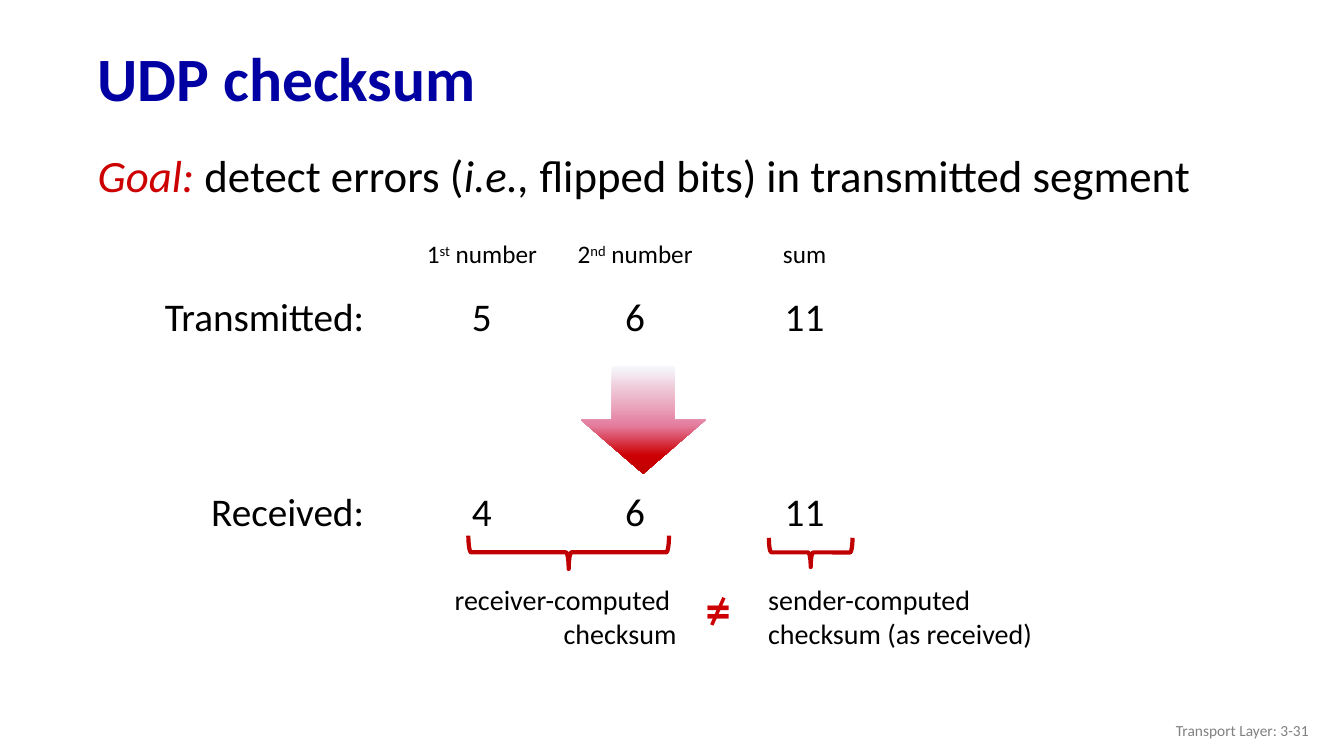
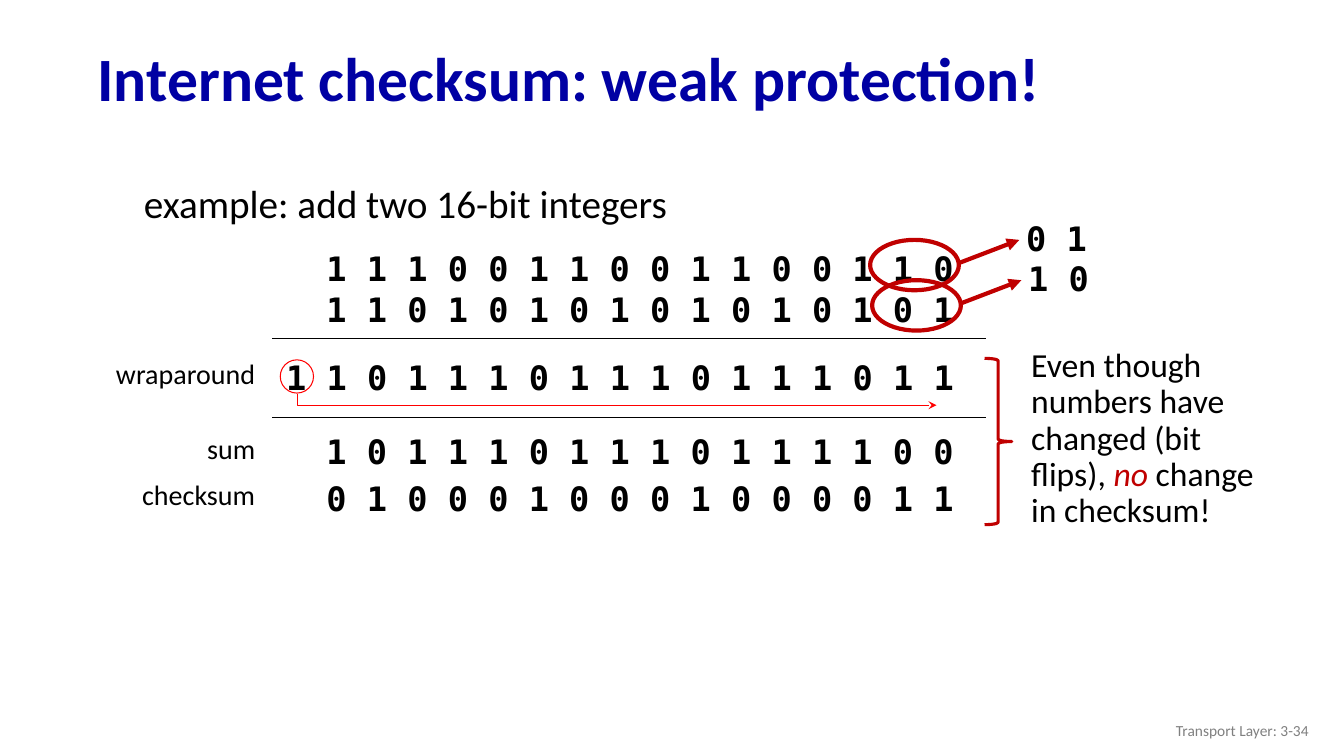
from dataclasses import dataclass

from lxml import etree
from pptx import Presentation
from pptx import util as u
from pptx.dml.color import RGBColor
from pptx.enum import shapes, text
from pptx.oxml import ns


@dataclass(frozen=True)
class Theme:
    """Colours, fonts and type sizes that the slides share."""
    title: str = "0000A3"
    ink: str = "000000"
    footer: str = "808080"
    goal: str = "CC0000"
    unequal: str = "CD0004"
    accent: str = "C00000"
    carry: str = "FF0000"
    body_font: str = "Calibri"
    bit_font: str = "DejaVu Sans Mono"
    title_size: int = 44
    symbol_size: int = 36
    goal_size: int = 32
    body_size: int = 28
    bit_size: int = 24
    label_size: int = 20
    header_size: int = 18
    footer_size: int = 11


THEME = Theme()
LEFT, CENTER, RIGHT = (text.PP_ALIGN.LEFT, text.PP_ALIGN.CENTER, text.PP_ALIGN.RIGHT)
ITALIC, SUPER = {"italic": True}, {"raised": True}

# Slide 1: a run is (words, style)
GOAL = [("Goal:", {"italic": True, "color": THEME.goal}), (" detect errors (", {}),
        ("i.e., ", ITALIC), ("flipped bits) in transmitted segment", {})]
COLUMNS = [  # centre, header
    (4.78, [("1", {}), ("st", SUPER), (" number", {})]),
    (6.3, [("2", {}), ("nd", SUPER), (" number", {})]),
    (7.98, [("sum", {})]),
]
NUMBER_ROWS = [  # top, label, values
    (2.9, "Transmitted:", ("5", "6", "11")),
    (4.84, "Received:", ("4", "6", "11")),
]
ARROW_STOPS = [(0, "F6F8FC"), (55, "E47E9F"), (83, THEME.unequal), (100, THEME.accent)]
CHECKSUMS = [  # box, alignment, lines
    ((4.38, 5.73, 2.43, 0.77), RIGHT, ("receiver-computed ", "checksum")),
    ((7.52, 5.73, 2.95, 0.77), LEFT, ("sender-computed", "checksum (as received)")),
]
SUM_BRACES = [(5.64, 5.48, 0.33, 1.99), (8.04, 5.48, 0.29, 0.83)]

# Slide 2
BIT_ROWS = [  # top, label, bits
    (2.41, "", "1110011001100110"),
    (2.82, "", "1101010101010101"),
    (3.49, "wraparound", "11011101110111011"),
    (4.23, "sum", "1011101110111100"),
    (4.69, "checksum", "0100010001000011"),
]
BIT_LEFT, BIT_STEP, WORD_BITS = 3.14, 0.4, 16
RULES = (3.36, 4.14)
FLIPS = [  # left and top of the ring, flipped bits
    (8.63, 2.38, "01"),
    (8.65, 2.78, "10"),
]
CARRY_PATH = [(2.95, 3.91), (2.95, 4.02), (9.29, 4.02)]
REMARK = [("Even though numbers have changed (bit flips), ", {}),
          ("no", {"italic": True, "color": THEME.accent}), (" change in checksum!", {})]


def inches(values):
    """Turn plain numbers into lengths."""
    return [u.Inches(value) for value in values]


def add_text(slide, box, paragraphs, size, align=LEFT, color=THEME.ink,
             font=THEME.body_font, bold=False, spacing=None, middle=False):
    """Add a text box; each paragraph is a string or a list of styled runs."""
    frame = slide.shapes.add_textbox(*inches(box)).text_frame
    frame.word_wrap = True
    if middle:
        frame.vertical_anchor = text.MSO_ANCHOR.MIDDLE
    for index, content in enumerate(paragraphs):
        paragraph = frame.add_paragraph() if index else frame.paragraphs[0]
        paragraph.alignment = align
        if spacing:
            paragraph.line_spacing = spacing
        runs = [(content, {})] if isinstance(content, str) else content
        for words, style in runs:
            run = paragraph.add_run()
            run.text = words
            run.font.name, run.font.size, run.font.bold = font, u.Pt(size), bold
            run.font.italic = style.get("italic", False)
            run.font.color.rgb = RGBColor.from_string(style.get("color", color))
            if style.get("raised"):
                run._r.get_or_add_rPr().set("baseline", "30000")


def add_bits(slide, left, top, bits):
    """Add a row of spaced bits in the monospaced font."""
    box = (left, top, BIT_STEP * len(bits) + 0.4, 0.5)
    add_text(slide, box, [" ".join(bits)], THEME.bit_size, font=THEME.bit_font, bold=True)


def style_line(shape, color, width, arrow=None):
    """Set the outline of a shape or connector, with an optional arrowhead."""
    shape.line.color.rgb = RGBColor.from_string(color)
    shape.line.width = u.Pt(width)
    if arrow:
        line = shape.line._get_or_add_ln()
        etree.SubElement(line, ns.qn("a:tailEnd"), type=arrow)


def add_line(slide, start, end, color, width, arrow=None):
    """Add a straight line without a shadow."""
    line = slide.shapes.add_connector(
        shapes.MSO_CONNECTOR.STRAIGHT, *inches(start), *inches(end))
    style_line(line, color, width, arrow)
    etree.SubElement(line._element.spPr, ns.qn("a:effectLst"))


def add_outline(slide, kind, box, color, width):
    """Add an unfilled preset shape."""
    shape = slide.shapes.add_shape(kind, *inches(box))
    shape.shadow.inherit = False
    shape.fill.background()
    style_line(shape, color, width)
    return shape


def add_brace(slide, center_x, center_y, depth, span, width, rotation=0):
    """Add a brace around its centre."""
    box = (center_x - depth / 2, center_y - span / 2, depth, span)
    brace = add_outline(slide, shapes.MSO_SHAPE.RIGHT_BRACE, box, THEME.accent, width)
    brace.rotation = rotation


def add_gradient_arrow(slide, box, stops):
    """Add a down arrow that fades from top to bottom."""
    arrow = slide.shapes.add_shape(shapes.MSO_SHAPE.DOWN_ARROW, *inches(box))
    arrow.shadow.inherit = False
    arrow.line.fill.background()
    arrow.fill.gradient()
    arrow.fill.gradient_angle = 270
    stop_list = arrow._element.spPr.find(".//" + ns.qn("a:gsLst"))
    for stop in list(stop_list):
        stop_list.remove(stop)
    for position, color in stops:
        stop = etree.SubElement(stop_list, ns.qn("a:gs"), pos=str(position * 1000))
        etree.SubElement(stop, ns.qn("a:srgbClr"), val=color)


def add_carry(slide, points):
    """Add the bent arrow that carries the extra bit round."""
    start, *rest = [inches(point) for point in points]
    builder = slide.shapes.build_freeform(*start)
    builder.add_line_segments(rest, close=False)
    carry = builder.convert_to_shape()
    carry.shadow.inherit = False
    carry.fill.background()
    style_line(carry, THEME.carry, 0.75, "stealth")


def new_slide(presentation, title, page):
    """Add a blank slide with the shared title and footer."""
    slide = presentation.slides.add_slide(presentation.slide_layouts[6])
    add_text(slide, (0.87, 0.32, 12.14, 0.98), [title], THEME.title_size,
             color=THEME.title, bold=True, spacing=0.9, middle=True)
    add_text(slide, (10.08, 7.05, 3, 0.4), [f"Transport Layer: {page}"],
             THEME.footer_size, RIGHT, THEME.footer, middle=True)
    return slide


def build_udp_checksum(presentation):
    """Show how a changed number no longer matches its sum."""
    slide = new_slide(presentation, "UDP checksum", "3-31")
    add_text(slide, (0.87, 1.5, 12.14, 0.93), [GOAL], THEME.goal_size, spacing=0.85)
    for center, header in COLUMNS:
        add_text(slide, (center - 0.8, 2.32, 1.6, 0.4), [header],
                 THEME.header_size, CENTER)
    for top, label, values in NUMBER_ROWS:
        add_text(slide, (1.21, top, 2.5, 0.63), [label], THEME.body_size, RIGHT,
                 spacing=0.9)
        for (center, _), value in zip(COLUMNS, values):
            add_text(slide, (center - 0.5, top, 1, 0.63), [value], THEME.body_size,
                     CENTER, spacing=0.9)
    add_gradient_arrow(slide, (5.76, 3.63, 1.24, 1.07), ARROW_STOPS)
    for box, align, lines in CHECKSUMS:
        add_text(slide, box, lines, THEME.label_size, align)
    for brace in SUM_BRACES:
        add_brace(slide, *brace, width=3, rotation=90)
    add_text(slide, (6.9, 5.69, 0.5, 0.71), ["="], THEME.symbol_size,
             color=THEME.unequal, bold=True)
    add_line(slide, (7.18, 5.93), (7.06, 6.2), THEME.unequal, 2.5)


def build_weak_protection(presentation):
    """Show two bit flips that leave the checksum unchanged."""
    slide = new_slide(presentation, "Internet checksum: weak protection!", "3-34")
    add_text(slide, (1.33, 1.59, 8.5, 0.8), ["example: add two 16-bit integers"],
             THEME.body_size, spacing=1.3)
    for top, label, bits in BIT_ROWS:
        add_bits(slide, BIT_LEFT - BIT_STEP * (len(bits) - WORD_BITS), top, bits)
        if label:
            add_text(slide, (0.63, top, 2, 0.44), [label], THEME.label_size, RIGHT)
    for height in RULES:
        add_line(slide, (2.7, height), (9.78, height), THEME.ink, 1)
    add_outline(slide, shapes.MSO_SHAPE.OVAL, (2.78, 3.57, 0.33, 0.33), THEME.carry, 0.75)
    add_carry(slide, CARRY_PATH)
    for left, top, bits in FLIPS:
        add_outline(slide, shapes.MSO_SHAPE.OVAL, (left, top, 0.88, 0.5), THEME.accent, 3)
        add_line(slide, (left + 0.88, top + 0.23), (left + 1.48, top), THEME.accent, 3,
                 "triangle")
        add_bits(slide, left + 1.45, top - 0.27, bits)
    add_brace(slide, 9.9, 4.38, 0.27, 1.65, width=2.25)
    add_text(slide, (10.13, 3.41, 2.63, 1.92), [REMARK], THEME.bit_size, spacing=0.9)


def main():
    """Build and save the presentation."""
    presentation = Presentation()
    presentation.slide_width, presentation.slide_height = inches((13.33, 7.5))
    build_udp_checksum(presentation)
    build_weak_protection(presentation)
    presentation.save("out.pptx")


main()
